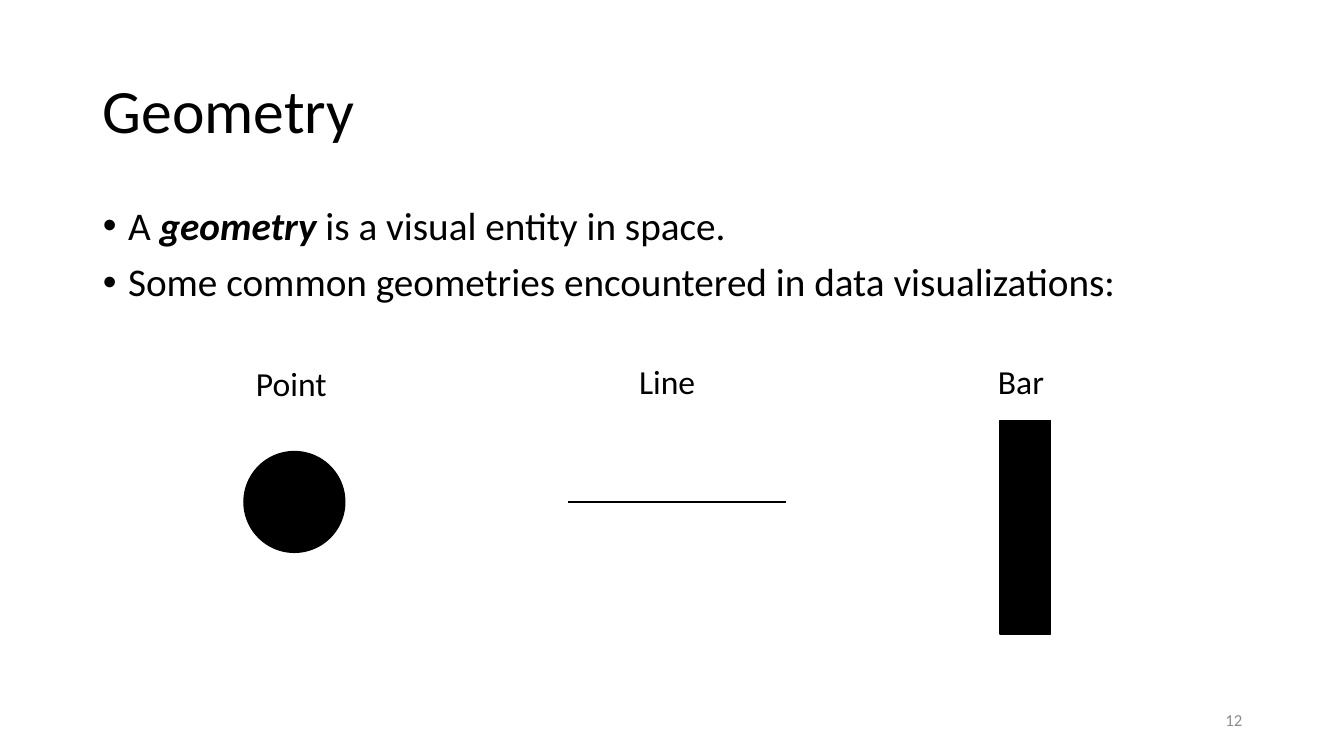
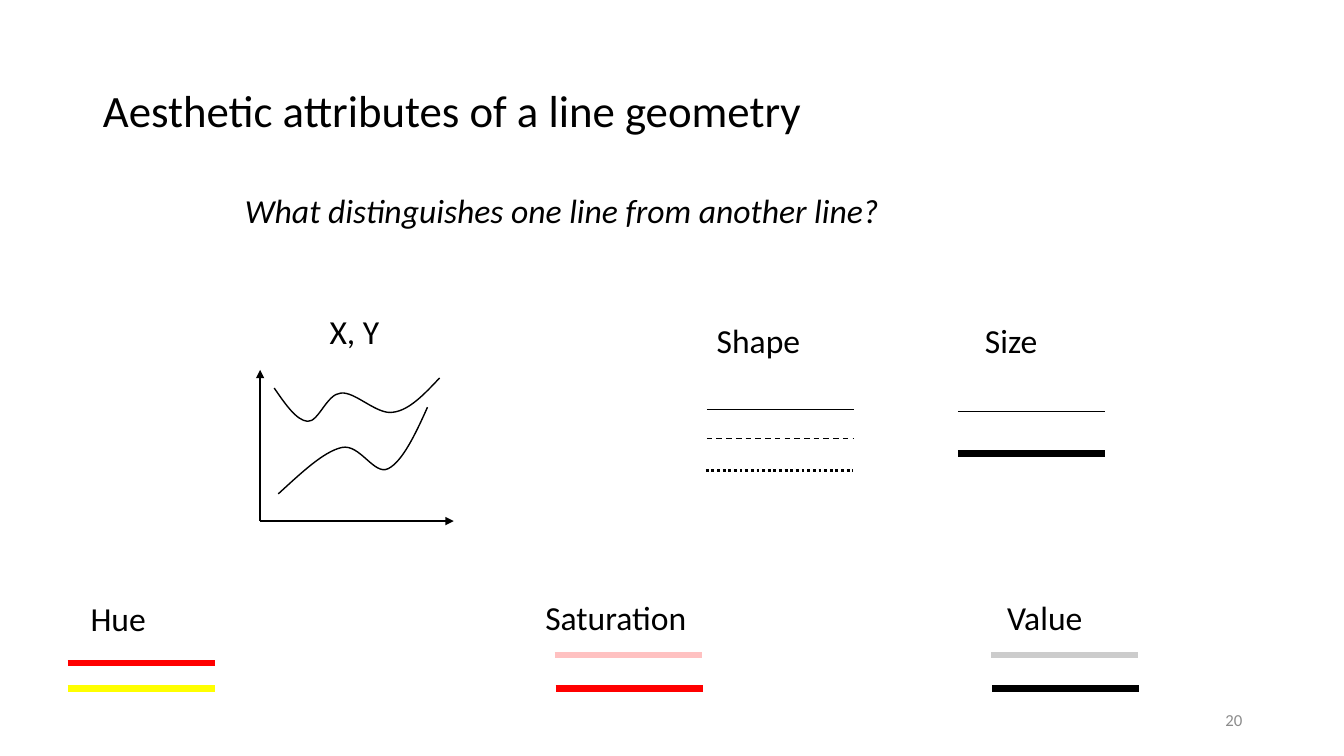
from lxml import etree
from pptx import Presentation
from pptx import util as u
from pptx.dml import color
from pptx.enum import dml, shapes, text
from pptx.oxml import ns

BLACK, GRAY, RED, YELLOW = "000000", "8C8C8C", "FF0000", "FFFF00"
PINK, SILVER = "FFC1C1", "CCCCCC"
EMU_PER_PX = 9144
STROKE = 146
THICK = 4.5


def px(length):
    return u.Emu(length * EMU_PER_PX)


def rgb(value):
    return color.RGBColor.from_string(value)


class Deck:
    font = "Calibri"

    def __init__(self):
        self.presentation = Presentation()
        self.presentation.slide_width = px(1333)
        self.presentation.slide_height = px(750)
        self.slide = None

    def add_slide(self, layout, title, size, number):
        self.slide = self.presentation.slides.add_slide(
            self.presentation.slide_layouts[layout])
        placeholder = self.slide.shapes.title
        self.place(placeholder, 92, 40, 1150, 145)
        frame = placeholder.text_frame
        frame.vertical_anchor = text.MSO_ANCHOR.MIDDLE
        self.add_runs(frame.paragraphs[0], [(title, "")], size)
        self.page_number(number)

    def place(self, shape, left, top, width, height):
        shape.left, shape.top = px(left), px(top)
        shape.width, shape.height = px(width), px(height)

    def add_runs(self, paragraph, runs, size, fill=BLACK, align=text.PP_ALIGN.LEFT):
        paragraph.alignment = align
        paragraph.line_spacing = 0.9
        for words, style in runs:
            run = paragraph.add_run()
            run.text = words
            font = run.font
            font.name, font.size = self.font, u.Pt(size)
            font.bold, font.italic = "b" in style, "i" in style
            font.color.rgb = rgb(fill)

    def bullets(self, items):
        body = self.slide.placeholders[1]
        self.place(body, 92, 200, 1150, 476)
        frame = body.text_frame
        frame.auto_size = text.MSO_AUTO_SIZE.NONE
        for index, runs in enumerate(items):
            paragraph = frame.add_paragraph() if index else frame.paragraphs[0]
            self.add_runs(paragraph, runs, 28)
            paragraph.space_before = u.Pt(10)
            properties = paragraph._p.get_or_add_pPr()
            properties.set("marL", str(px(25)))
            properties.set("indent", str(px(-25)))
            etree.SubElement(properties, ns.qn("a:buFont"), typeface="Arial")
            etree.SubElement(properties, ns.qn("a:buChar"), char="•")

    def label(self, words, left, top, width, style=""):
        box = self.slide.shapes.add_textbox(px(left), px(top), px(width), px(46))
        frame = box.text_frame
        frame.word_wrap = False
        frame.auto_size = text.MSO_AUTO_SIZE.SHAPE_TO_FIT_TEXT
        self.add_runs(frame.paragraphs[0], [(words, style)], 24)

    def page_number(self, number):
        box = self.slide.shapes.add_textbox(px(942), px(695), px(300), px(40))
        frame = box.text_frame
        frame.word_wrap = True
        frame.vertical_anchor = text.MSO_ANCHOR.MIDDLE
        self.add_runs(frame.paragraphs[0], [(str(number), "")], 12, GRAY,
                      text.PP_ALIGN.RIGHT)

    def solid(self, kind, left, top, width, height):
        shape = self.slide.shapes.add_shape(
            kind, px(left), px(top), px(width), px(height))
        shape.shadow.inherit = False
        shape.fill.solid()
        shape.fill.fore_color.rgb = rgb(BLACK)
        self.outline(shape.line)

    def outline(self, line, fill=BLACK, weight=1):
        line.color.rgb = rgb(fill)
        line.width = u.Pt(weight)

    def line(self, start, end, fill=BLACK, weight=1, dash=None, arrow=False):
        connector = self.slide.shapes.add_connector(
            shapes.MSO_CONNECTOR.STRAIGHT, *map(px, start + end))
        self.outline(connector.line, fill, weight)
        if dash is not None:
            connector.line.dash_style = dash
        if arrow:
            etree.SubElement(connector.line._get_or_add_ln(),
                             ns.qn("a:tailEnd"), type="triangle")
        etree.SubElement(connector._element.spPr, ns.qn("a:effectLst"))

    def stroke(self, left, top, fill=BLACK, weight=1, dash=None):
        self.line((left, top), (left + STROKE, top), fill, weight, dash)

    def curve(self, start, *points):
        builder = self.slide.shapes.build_freeform(*start, scale=EMU_PER_PX)
        builder.add_line_segments(points, close=False)
        shape = builder.convert_to_shape()
        shape.shadow.inherit = False
        shape.fill.background()
        self.outline(shape.line)
        segments = list(shape._element.iter(ns.qn("a:lnTo")))
        for first in range(0, len(segments), 3):
            bezier = etree.Element(ns.qn("a:cubicBezTo"))
            segments[first].addprevious(bezier)
            for segment in segments[first:first + 3]:
                bezier.append(segment[0])
                segment.getparent().remove(segment)


def geometry_slide(deck):
    deck.add_slide(1, "Geometry", 44, 12)
    deck.bullets([
        [("A ", ""), ("geometry ", "bi"), ("is a visual entity in space.", "")],
        [("Some common geometries encountered in data visualizations:", "")],
    ])
    deck.label("Point", 244, 360, 91)
    deck.label("Line", 624, 358, 77)
    deck.label("Bar", 980, 358, 66)
    deck.solid(shapes.MSO_SHAPE.OVAL, 242, 448, 100, 100)
    deck.line((563, 498), (780, 498))
    deck.solid(shapes.MSO_SHAPE.RECTANGLE, 992, 417, 50, 212)


def attributes_slide(deck):
    deck.add_slide(5, "Aesthetic attributes of a line geometry", 32, 20)
    deck.label("What distinguishes one line from another line?",
               233, 188, 656, "i")

    deck.label("X, Y", 317, 308, 70)
    origin = (258, 517)
    for tip in [(450, 517), (258, 367)]:
        deck.line(origin, tip, arrow=True)
    deck.curve((276, 490), (299, 469), (321, 448), (339, 444),
               (357, 440), (371, 472), (385, 465),
               (399, 458), (412, 431), (424, 404))
    deck.curve((272, 385), (283, 401), (294, 417), (305, 418),
               (316, 419), (324, 391), (338, 390),
               (352, 388), (374, 412), (390, 409),
               (406, 407), (421, 391), (436, 375))

    deck.label("Shape", 701, 317, 104)
    deck.stroke(701, 406)
    deck.stroke(701, 435, dash=dml.MSO_LINE.DASH)
    deck.stroke(700, 467, weight=2, dash=dml.MSO_LINE.ROUND_DOT)

    deck.label("Size", 967, 317, 73)
    deck.stroke(950, 408)
    deck.stroke(950, 450, weight=THICK)

    for words, left, top, width, strokes in [
        ("Hue", 80, 593, 76, [(67, 658, RED), (67, 683, YELLOW)]),
        ("Saturation", 531, 592, 162, [(550, 650, PINK), (551, 683, RED)]),
        ("Value", 989, 592, 96, [(983, 650, SILVER), (984, 683, BLACK)]),
    ]:
        deck.label(words, left, top, width)
        for stroke_left, stroke_top, fill in strokes:
            deck.stroke(stroke_left, stroke_top, fill, THICK)


def main():
    deck = Deck()
    geometry_slide(deck)
    attributes_slide(deck)
    deck.presentation.save("out.pptx")


if __name__ == "__main__":
    main()
